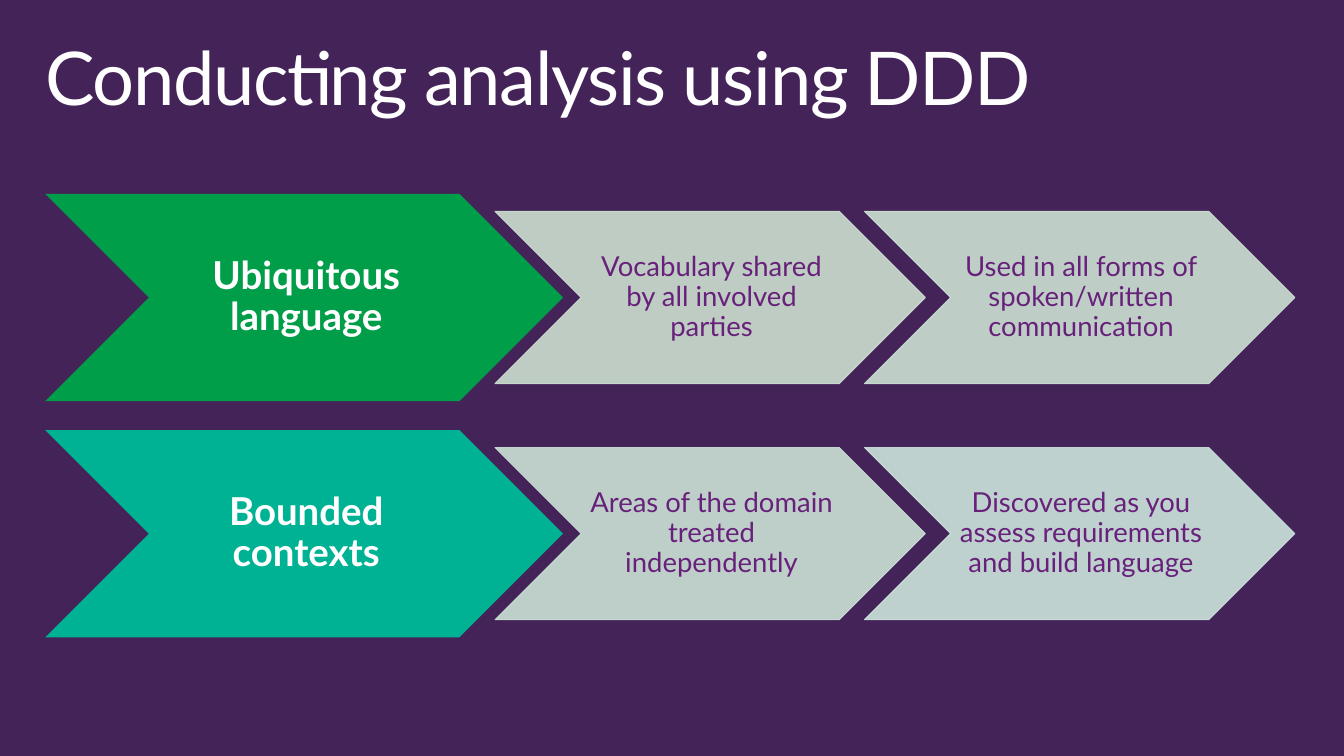
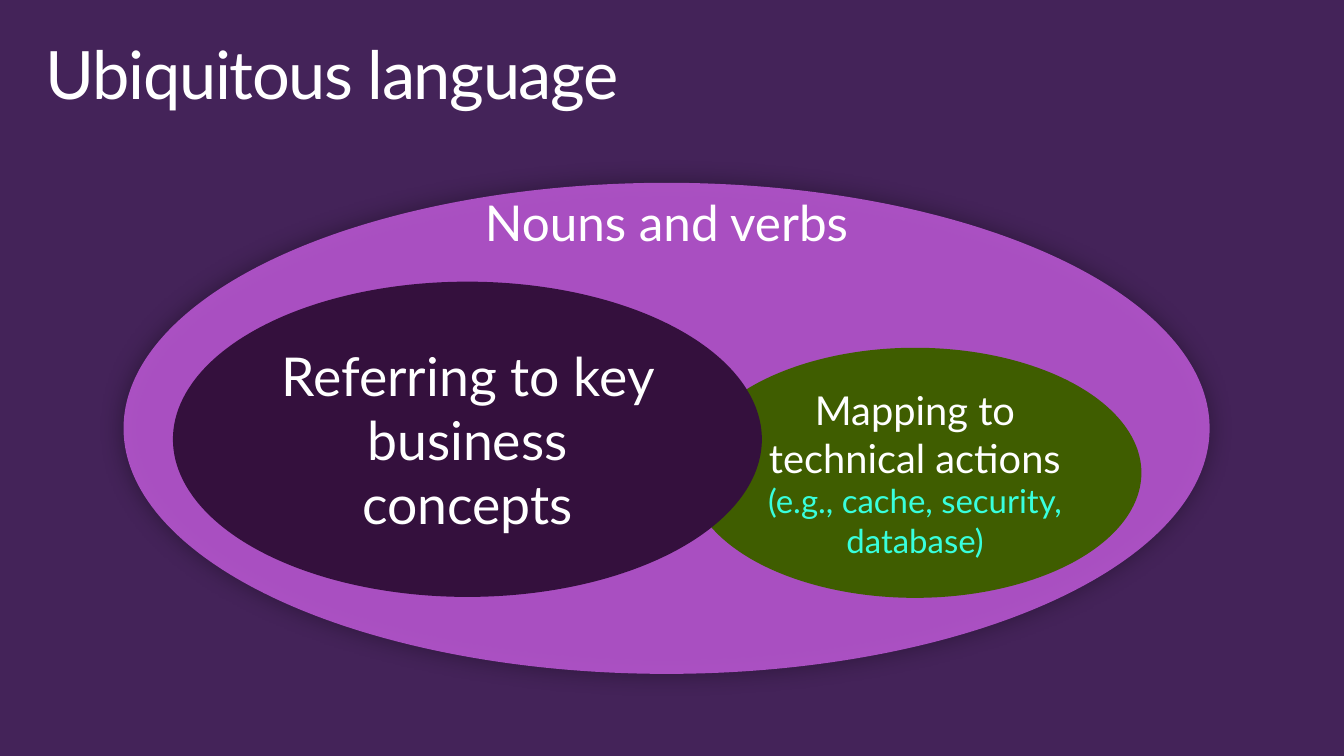
from dataclasses import dataclass

from lxml import etree
from pptx import Presentation
from pptx.dml.color import RGBColor
from pptx.enum import shapes, text
from pptx.oxml.ns import qn
from pptx.util import Pt


@dataclass(frozen=True)
class Theme:
    font: str = "Lato"
    background: str = "442359"
    white: str = "FFFFFF"
    purple: str = "68217A"
    aqua: str = "38FFDD"
    lead_size: float = 28
    detail_size: float = 20


THEME = Theme()

TITLES = [("Conducting analysis using DDD", 54), ("Ubiquitous language", 48.6)]

# Each row: lead (text, fill), then details (text, fill)
ROWS = [
    (("Ubiquitous language", "009E49"),
     [("Vocabulary shared by all involved parties", "CCDFD0"),
      ("Used in all forms of spoken/written communication", "CCE1D3")]),
    (("Bounded contexts", "00B294"),
     [("Areas of the domain treated independently", "CCE2D7"),
      ("Discovered as you assess requirements and build language", "CCE4DC")]),
]
ROW_CENTER, ROW_STEP = 216.8, 172
LEAD_LEFT, LEAD_SIZE = 33, (377.3, 151)
DETAIL_LEFT, DETAIL_STEP, DETAIL_SIZE = 360.7, 269.2, (313.5, 125.4)

# Back to front: box, fill, opacity, shadow, paragraphs (text, size, colour)
ELLIPSES = [
    ((90, 133.2, 791.3, 357.8), "B957D2", 89, True, []),
    ((501.8, 253.4, 329.8, 182.2), "3F5D00", 100, False,
     [("Mapping to technical actions", 29, THEME.white),
      ("(e.g., cache, security, database)", 24, THEME.aqua)]),
    ((126, 205.2, 429.1, 229.7), "34103D", 100, False,
     [("Referring to key business concepts", 39, THEME.white)]),
]
NOUNS_LABEL = ("Nouns and verbs", 36, THEME.white)
NOUNS_BOX = (90, 140, 791.3, 44)


def write(sp, paragraphs, insets, anchor=text.MSO_ANCHOR.MIDDLE,
          align=text.PP_ALIGN.CENTER, line_spacing=None, bold=False, tracking=0):
    """Fill a shape with (text, size, colour) paragraphs."""
    tf = sp.text_frame
    left, top, right, bottom = map(Pt, insets)
    frame = dict(word_wrap=True, vertical_anchor=anchor, margin_left=left,
                 margin_top=top, margin_right=right, margin_bottom=bottom)
    for name, value in frame.items():
        setattr(tf, name, value)
    for i, (words, size, color) in enumerate(paragraphs):
        p = tf.add_paragraph() if i else tf.paragraphs[0]
        p.alignment, p.line_spacing = align, line_spacing
        r = p.add_run()
        r.text = words
        for name, value in dict(name=THEME.font, size=Pt(size), bold=bold).items():
            setattr(r.font, name, value)
        r.font.color.rgb = RGBColor.from_string(color)
        if tracking:
            r.font._element.set("spc", str(tracking * 100))


def add_filled(s, kind, box, color, opacity=100, outline=False):
    sp = s.shapes.add_shape(kind, *map(Pt, box))
    sp.shadow.inherit = False
    sp.fill.solid()
    sp.fill.fore_color.rgb = RGBColor.from_string(color)
    if outline:
        sp.line.color.rgb = RGBColor.from_string(color)
        sp.line.width = Pt(0.75)
    else:
        sp.line.fill.background()
    if opacity < 100:
        for clr in sp._element.spPr.iter(qn("a:srgbClr")):
            etree.SubElement(clr, qn("a:alpha"), val=str(opacity * 1000))
    return sp


def add_glow_shadow(sp):
    """Soft black shadow, spread evenly on all sides."""
    effects = sp._element.spPr.find(qn("a:effectLst"))
    shadow = etree.SubElement(effects, qn("a:outerShdw"), blurRad=str(Pt(18)),
                              dist="0", dir="0", algn="ctr", rotWithShape="0")
    clr = etree.SubElement(shadow, qn("a:srgbClr"), val="000000")
    etree.SubElement(clr, qn("a:alpha"), val="40000")


def add_chevron(s, left, center, size, label, color, font_size, font_color,
                insets, bold=False, **look):
    width, height = size
    sp = add_filled(s, shapes.MSO_SHAPE.CHEVRON,
                    (left, center - height / 2, width, height), color, **look)
    write(sp, [(label, font_size, font_color)], insets, line_spacing=0.9, bold=bold)


def add_titled_slide(prs, title, size):
    s = prs.slides.add_slide(prs.slide_layouts[6])
    sp = s.shapes.add_textbox(*map(Pt, (21.6, 23, 936, 72)))
    write(sp, [(title, size, THEME.white)], (11.5, 7.2, 11.5, 7.2),
          anchor=text.MSO_ANCHOR.TOP, align=text.PP_ALIGN.LEFT,
          line_spacing=0.9, tracking=-1)
    return s


def draw_chevron_rows(s):
    for row, ((lead, lead_color), details) in enumerate(ROWS):
        center = ROW_CENTER + row * ROW_STEP
        add_chevron(s, LEAD_LEFT, center, LEAD_SIZE, lead, lead_color,
                    THEME.lead_size, THEME.white, (3, 1.5, 0, 1.5), bold=True)
        for col, (detail, color) in enumerate(details):
            add_chevron(s, DETAIL_LEFT + col * DETAIL_STEP, center, DETAIL_SIZE,
                        detail, color, THEME.detail_size, THEME.purple,
                        (2, 1, 0, 1), opacity=90, outline=True)


def draw_nested_ellipses(s):
    for box, color, opacity, shadowed, paragraphs in ELLIPSES:
        sp = add_filled(s, shapes.MSO_SHAPE.OVAL, box, color, opacity)
        if shadowed:
            add_glow_shadow(sp)
        if paragraphs:
            write(sp, paragraphs, (8.6, 4.3, 8.6, 4.3))
    label = s.shapes.add_textbox(*map(Pt, NOUNS_BOX))
    write(label, [NOUNS_LABEL], (0, 0, 0, 0), anchor=text.MSO_ANCHOR.TOP)


def main():
    prs = Presentation()
    prs.slide_width, prs.slide_height = Pt(979.2), Pt(550.8)
    fill = prs.slide_master.background.fill
    fill.solid()
    fill.fore_color.rgb = RGBColor.from_string(THEME.background)
    for (title, size), draw in zip(TITLES, (draw_chevron_rows, draw_nested_ellipses)):
        draw(add_titled_slide(prs, title, size))
    prs.save("out.pptx")


if __name__ == "__main__":
    main()
